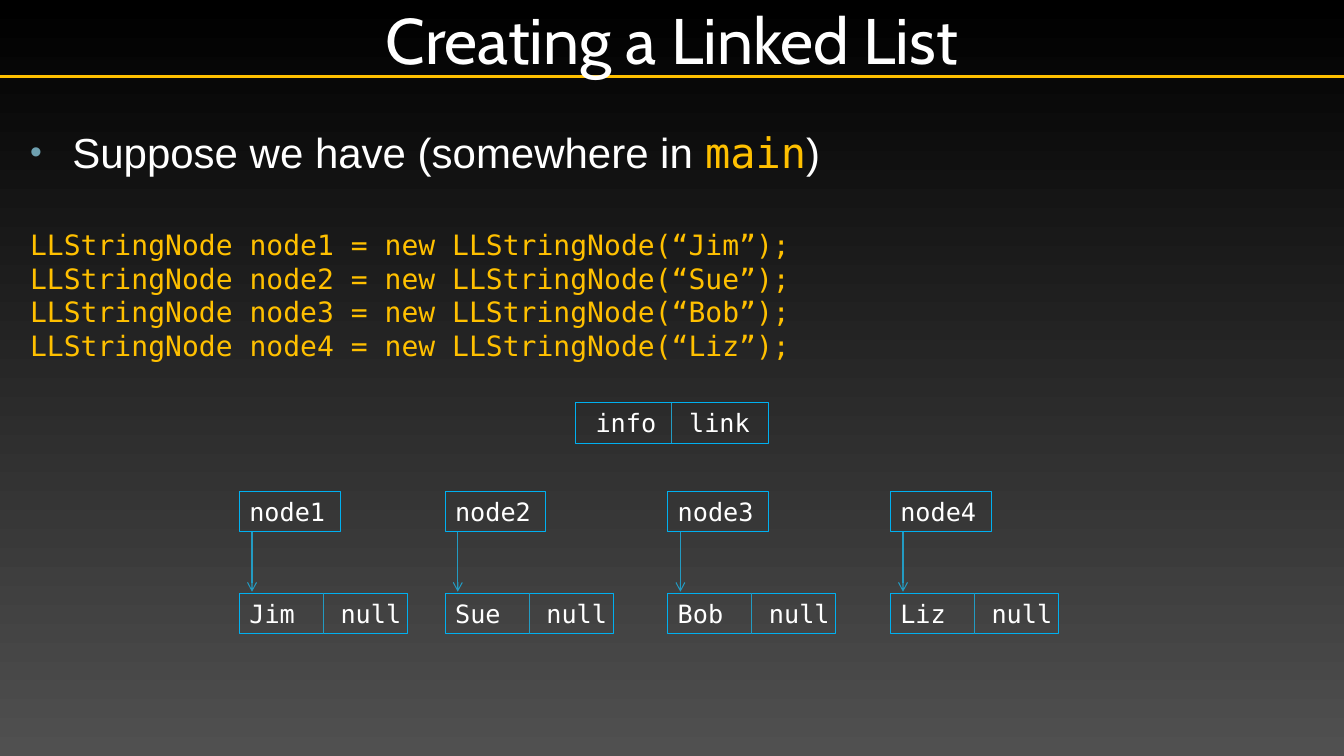
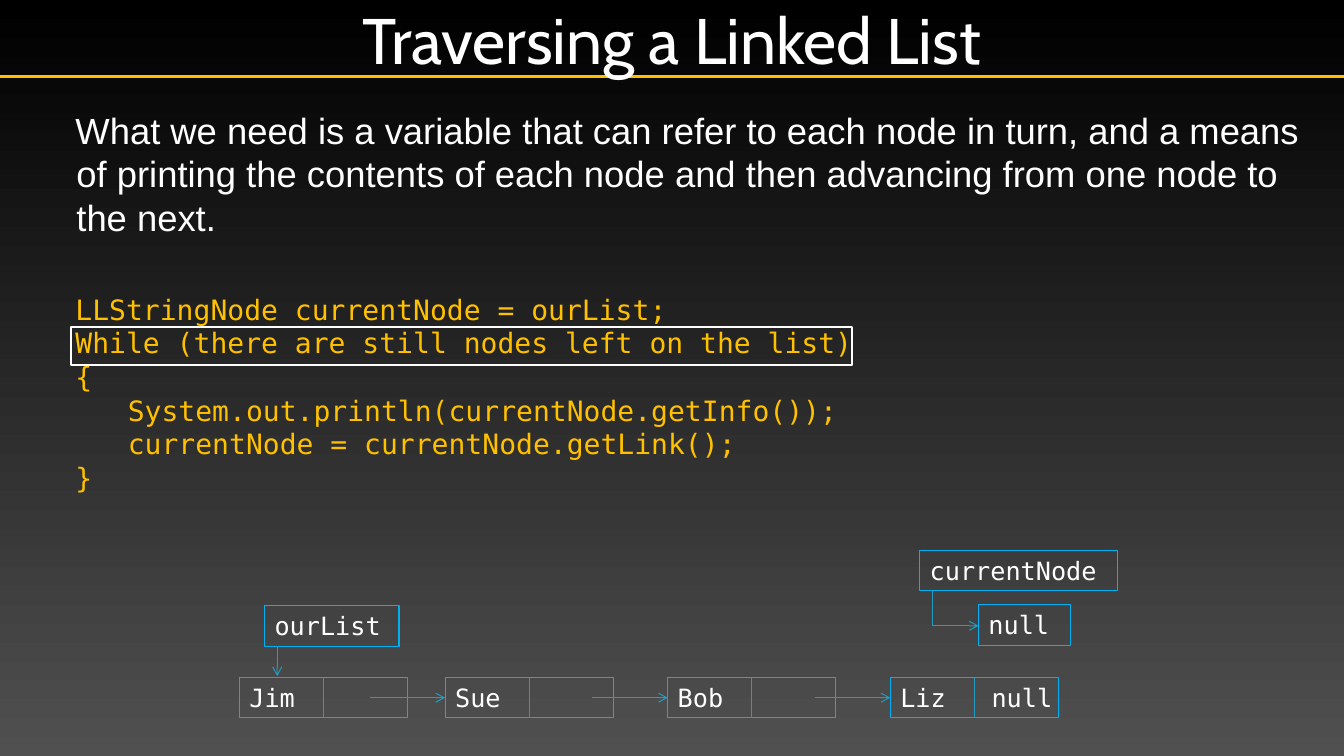
"""Build two slides on creating and traversing a linked list."""
from dataclasses import dataclass

import pptx
import pptx.dml.color
import pptx.enum.shapes
import pptx.enum.text
import pptx.oxml.xmlchemy
import pptx.presentation
import pptx.shapes.autoshape
import pptx.slide
import pptx.text.text
import pptx.util

RGBColor = pptx.dml.color.RGBColor
BLACK = RGBColor(0x00, 0x00, 0x00)
GREY = RGBColor(0x50, 0x50, 0x50)
WHITE = RGBColor(0xFF, 0xFF, 0xFF)
GOLD = RGBColor(0xFF, 0xC0, 0x00)
BLUE = RGBColor(0x00, 0xB0, 0xF0)
TEAL = RGBColor(0x23, 0x9B, 0xC2)
BULLET = RGBColor(0x6E, 0xA0, 0xB0)

COLS, ROWS = 320, 180
UNITS_PER_INCH = 24
NODE_X = (57, 106, 159, 212)
NODE_W, VAR_W, BOX_H = 40, 24, 9.65
POINTER_DX, LINK_W = 3, 18
LINE_RATIO = 1.2
LINK_INSET = 0.17


@dataclass(frozen=True)
class Style:
    """Font, size and colour of a run."""

    font: str
    size: float
    color: RGBColor


@dataclass(frozen=True)
class Para:
    """A paragraph: its runs, indents in inches and space before in points."""

    runs: tuple[tuple[str, Style], ...]
    left: float = 0
    first: float = 0
    before: float = 0
    bullet: bool = False
    align: pptx.enum.text.PP_ALIGN = pptx.enum.text.PP_ALIGN.LEFT


@dataclass(frozen=True)
class Box:
    """An outlined label on the grid, with a second cell when divided."""

    x: float
    y: float
    w: float
    text: str
    link: str = ""
    divided: bool = False
    inset: float = 0.1


TITLE = Style("Cabin", 46, WHITE)
LEAD = Style("Arial", 30, WHITE)
LEAD_CODE = Style("DejaVu Sans Mono", 30, GOLD)
PROSE = Style("Arial", 26, WHITE)
CODE = Style("DejaVu Sans Mono", 20, GOLD)
LABEL = Style("DejaVu Sans Mono", 18, WHITE)


def grid(n: float) -> pptx.util.Emu:
    """Convert grid units to a length."""
    return pptx.util.Inches(n / UNITS_PER_INCH)


def add_xml(parent: pptx.oxml.xmlchemy.BaseOxmlElement, tag: str,
            **attrs: str) -> pptx.oxml.xmlchemy.BaseOxmlElement:
    """Append a DrawingML element to a parent."""
    el = pptx.oxml.xmlchemy.OxmlElement(tag)
    for name, value in attrs.items():
        el.set(name, value)
    parent.append(el)
    return el


def add_paras(tf: pptx.text.text.TextFrame, paras: list[Para],
              left: float = 0.1, right: float = 0.1) -> None:
    """Fill a text frame, run by run."""
    tf.word_wrap = True
    tf.margin_left, tf.margin_right = (
        pptx.util.Inches(left), pptx.util.Inches(right))
    tf.margin_top = tf.margin_bottom = pptx.util.Inches(0.05)
    for i, para in enumerate(paras):
        p = tf.add_paragraph() if i else tf.paragraphs[0]
        p.alignment = para.align
        p.line_spacing = pptx.util.Pt(LINE_RATIO * para.runs[0][1].size)
        p.space_before = pptx.util.Pt(para.before)
        pPr = p._p.get_or_add_pPr()
        pPr.set("marL", str(pptx.util.Inches(para.left)))
        pPr.set("indent", str(pptx.util.Inches(para.first)))
        if para.bullet:
            add_xml(add_xml(pPr, "a:buClr"), "a:srgbClr", val=str(BULLET))
            add_xml(pPr, "a:buSzPct", val="80000")
            add_xml(pPr, "a:buFont", typeface="Arial")
            add_xml(pPr, "a:buChar", char="•")
        for text, style in para.runs:
            r = p.add_run()
            r.text = text
            r.font.name = style.font
            r.font.size = pptx.util.Pt(style.size)
            r.font.color.rgb = style.color


def add_text(s: pptx.slide.Slide, x: float, y: float, w: float, h: float,
             paras: list[Para], left: float = 0.1,
             right: float = 0.1) -> pptx.text.text.TextFrame:
    """Add a text box on the grid."""
    tf = s.shapes.add_textbox(grid(x), grid(y), grid(w), grid(h)).text_frame
    add_paras(tf, paras, left, right)
    return tf


def add_line(s: pptx.slide.Slide, x1: float, y1: float, x2: float, y2: float,
             color: RGBColor = TEAL, width: float = 0.75,
             arrow: bool = False) -> None:
    """Add a straight line on the grid, with an optional arrowhead."""
    sp = s.shapes.add_connector(pptx.enum.shapes.MSO_CONNECTOR.STRAIGHT,
                                grid(x1), grid(y1), grid(x2), grid(y2))
    sp.line.color.rgb = color
    sp.line.width = pptx.util.Pt(width)
    if arrow:
        add_xml(sp.line._get_or_add_ln(), "a:tailEnd", type="arrow")
    add_xml(sp._element.spPr, "a:effectLst")


def add_frame(s: pptx.slide.Slide, x: float, y: float, w: float, h: float,
              color: RGBColor = BLUE,
              width: float = 0.75) -> pptx.shapes.autoshape.Shape:
    """Add an unfilled rectangle on the grid."""
    sp = s.shapes.add_shape(pptx.enum.shapes.MSO_SHAPE.RECTANGLE,
                            grid(x), grid(y), grid(w), grid(h))
    sp.shadow.inherit = False
    sp.fill.background()
    sp.line.color.rgb = color
    sp.line.width = pptx.util.Pt(width)
    return sp


def add_box(s: pptx.slide.Slide, box: Box) -> None:
    """Add a labelled box, its divider and the label of its link cell."""
    tf = add_frame(s, box.x, box.y, box.w, BOX_H).text_frame
    tf.vertical_anchor = pptx.enum.text.MSO_ANCHOR.TOP
    add_paras(tf, [Para(((box.text, LABEL),))], box.inset, 0)
    half = box.w / 2
    mid = box.x + half
    if box.divided:
        add_line(s, mid, box.y, mid, box.y + BOX_H)
    if box.link:
        add_text(s, mid, box.y, half, BOX_H, [Para(((box.link, LABEL),))],
                 LINK_INSET, 0)


def add_variable(s: pptx.slide.Slide, box: Box, end_y: float,
                 arrow: bool = True) -> None:
    """Add a variable box with its pointer running down to end_y."""
    add_box(s, box)
    x = box.x + POINTER_DX
    add_line(s, x, box.y + BOX_H, x, end_y, arrow=arrow)


def add_slide(prs: pptx.presentation.Presentation,
              title: str) -> pptx.slide.Slide:
    """Add a slide with the shared background, rule and title."""
    s = prs.slides.add_slide(prs.slide_layouts[6])
    fill = s.background.fill
    fill.gradient()
    fill.gradient_angle = 270
    for stop, color in zip(fill.gradient_stops, (BLACK, GREY)):
        stop.color.rgb = color
    add_line(s, 0, 18.2, COLS, 18.2, GOLD, 2.5)
    para = Para(((title, TITLE),), align=pptx.enum.text.PP_ALIGN.CENTER)
    tf = add_text(s, COLS / 8, 0, COLS * 3 / 4, 18.5, [para], 0.05, 0.05)
    tf.vertical_anchor = pptx.enum.text.MSO_ANCHOR.MIDDLE
    return s


def build_creating(prs: pptx.presentation.Presentation) -> None:
    """Build the slide that creates four separate nodes."""
    s = add_slide(prs, "Creating a Linked List")
    names = ("Jim", "Sue", "Bob", "Liz")
    lead = Para((("Suppose we have (somewhere in ", LEAD),
                 ("main", LEAD_CODE), (")", LEAD)), 0.46, -0.42, bullet=True)
    code = [Para(((f"LLStringNode node{i} = new LLStringNode(“{name}”);",
                   CODE),), 0.04, before=36 if i == 1 else 0)
            for i, name in enumerate(names, 1)]
    add_text(s, 3.84, 29, 273, 146, [lead, *code])

    add_box(s, Box(137, 95.9, 46, "info", "link", True, 0.2))
    node_y = 141.3
    for i, (x, name) in enumerate(zip(NODE_X, names), 1):
        add_box(s, Box(x, node_y, NODE_W, name, "null", True))
        add_variable(s, Box(x, 117, VAR_W, f"node{i}"), node_y - 0.4)


def build_traversing(prs: pptx.presentation.Presentation) -> None:
    """Build the slide that walks along the linked nodes."""
    s = add_slide(prs, "Traversing a Linked List")
    prose = Para((("What we need is a variable that can refer to each node in "
                   "turn, and a means of printing the contents of each node "
                   "and then advancing from one node to the next.", PROSE),),
                 0.5, -0.01)
    lines = (("LLStringNode currentNode = ourList;", 0.49),
             ("While (there are still nodes left on the list)", 0.49),
             ("{", 0.49),
             ("System.out.println(currentNode.getInfo());", 1.01),
             ("currentNode = currentNode.getLink();", 1.01),
             ("}", 0.49))
    code = [Para(((text, CODE),), left, before=0 if i else 38)
            for i, (text, left) in enumerate(lines)]
    add_text(s, 3.84, 24.5, 312.5, 150, [prose, *code])

    node_y = 161.3
    nodes = (("Jim", ""), ("Sue", ""), ("Bob", ""), ("Liz", "null"))
    for x, (name, link) in zip(NODE_X, nodes):
        add_box(s, Box(x, node_y, NODE_W, name, link, True))
    link_y = node_y + BOX_H / 2
    for x in NODE_X[1:]:
        add_line(s, x - LINK_W, link_y, x, link_y, arrow=True)
    add_variable(s, Box(63, 144.2, 32, "ourList"), node_y - 0.3)

    add_frame(s, 16.8, 77.8, 186, 9.1, WHITE, 1.5)
    current, null = Box(219, 131, 47, "currentNode"), Box(233, 144, 22, "null")
    turn_y = 149
    add_variable(s, current, turn_y, arrow=False)
    add_line(s, current.x + POINTER_DX, turn_y, null.x, turn_y, arrow=True)
    add_box(s, null)


def main() -> None:
    """Build and save the presentation."""
    prs = pptx.Presentation()
    prs.slide_width, prs.slide_height = grid(COLS), grid(ROWS)
    build_creating(prs)
    build_traversing(prs)
    prs.save("out.pptx")


if __name__ == "__main__":
    main()
